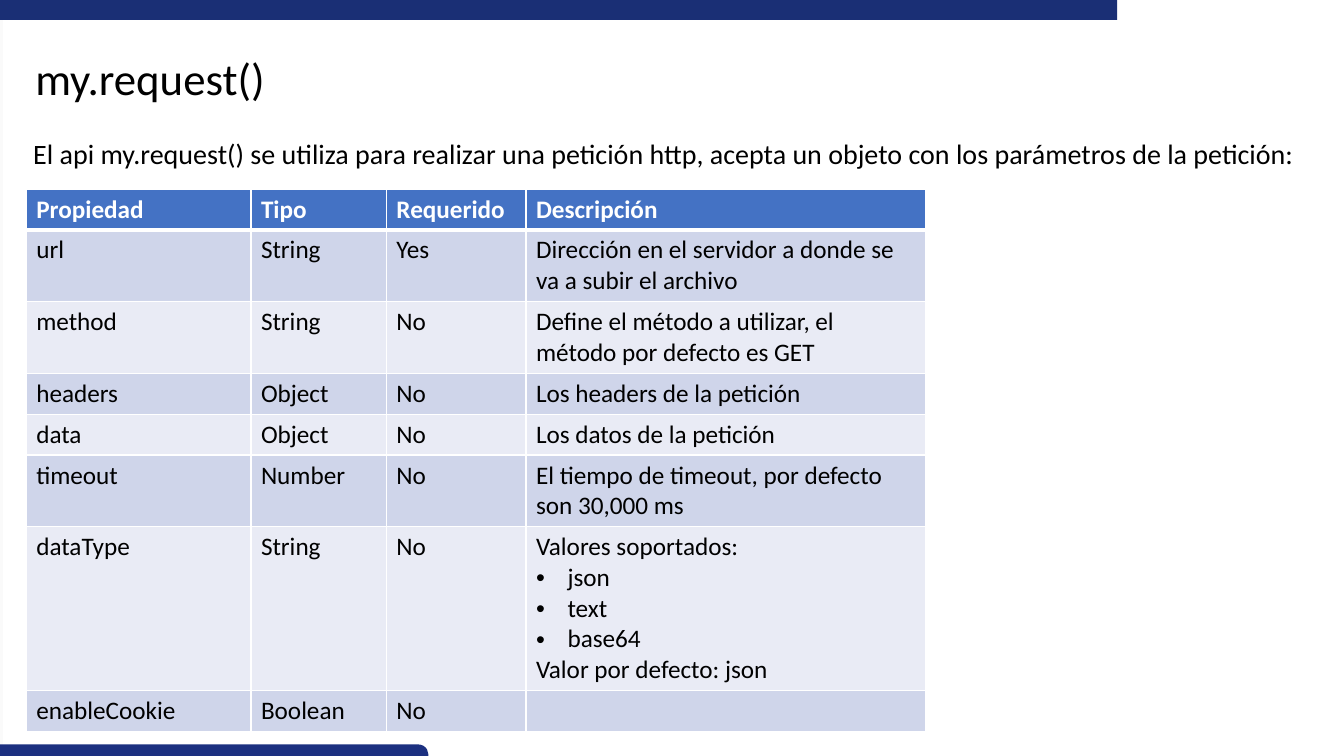
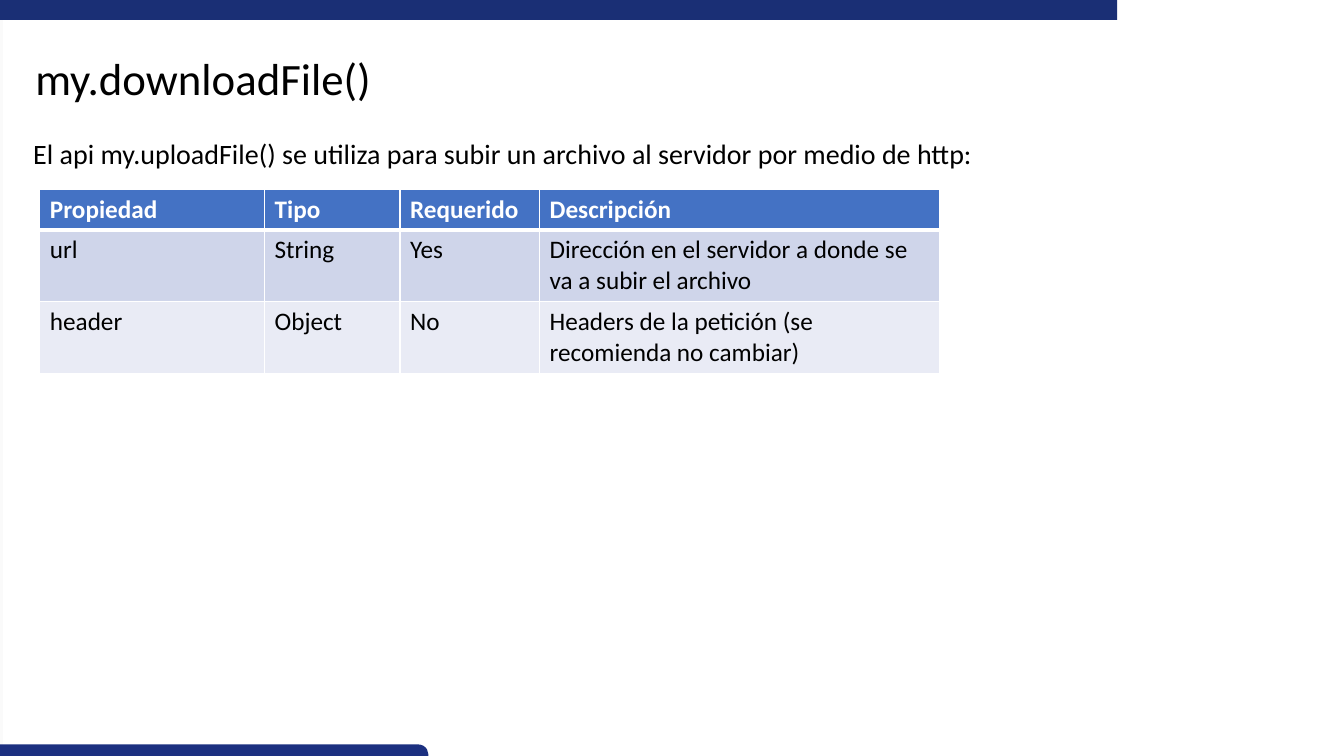
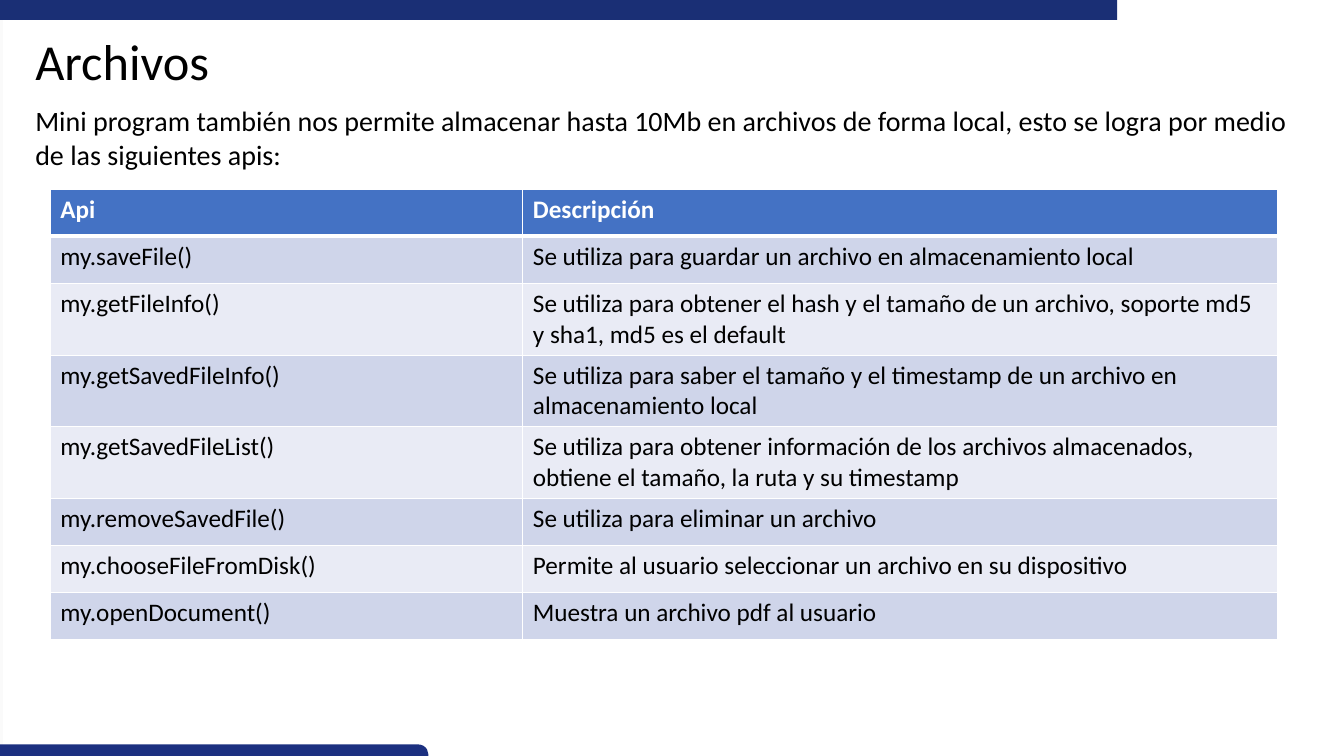
from lxml.etree import SubElement
from pptx import Presentation
from pptx.dml.color import RGBColor
from pptx.enum.shapes import MSO_SHAPE
from pptx.enum.text import MSO_ANCHOR, MSO_AUTO_SIZE, PP_ALIGN
from pptx.oxml.ns import qn
from pptx.util import Emu, Pt

FONT = "Calibri"
BACK = RGBColor(0xFA, 0xFA, 0xFA)
WHITE = RGBColor(0xFF, 0xFF, 0xFF)
BLACK = RGBColor(0, 0, 0)
NAVY = RGBColor(0x1A, 0x2F, 0x75)
INDIGO = RGBColor(0x1C, 0x30, 0x80)
BLUE = RGBColor(0x44, 0x72, 0xC4)
DARK = RGBColor(0xCF, 0xD5, 0xEA)
LIGHT = RGBColor(0xE9, 0xEB, 0xF5)

BULLET = "• "
HEADS = ("Propiedad", "Tipo", "Requerido", "Descripción")
WIDTHS = (214, 129, 133, 381)
URL = ("url", "String", "Yes", "Dirección en el servidor a donde se va a subir el archivo")

REQUEST = (
    HEADS,
    URL,
    ("method", "String", "No", "Define el método a utilizar, el método por defecto es GET"),
    ("headers", "Object", "No", "Los headers de la petición"),
    ("data", "Object", "No", "Los datos de la petición"),
    ("timeout", "Number", "No", "El tiempo de timeout, por defecto son 30,000 ms"),
    ("dataType", "String", "No",
     "Valores soportados:\n• json\n• text\n• base64\nValor por defecto: json"),
    ("enableCookie", "Boolean", "No", ""),
)
DOWNLOAD = (
    HEADS,
    URL,
    ("header", "Object", "No", "Headers de la petición (se recomienda no cambiar)"),
)
FILES = (
    ("Api", "Descripción"),
    ("my.saveFile()", "Se utiliza para guardar un archivo en almacenamiento local"),
    ("my.getFileInfo()",
     "Se utiliza para obtener el hash y el tamaño de un archivo, soporte md5 y sha1, md5 es el default"),
    ("my.getSavedFileInfo()",
     "Se utiliza para saber el tamaño y el timestamp de un archivo en almacenamiento local"),
    ("my.getSavedFileList()",
     "Se utiliza para obtener información de los archivos almacenados, obtiene el tamaño, la ruta y su timestamp"),
    ("my.removeSavedFile()", "Se utiliza para eliminar un archivo"),
    ("my.chooseFileFromDisk()", "Permite al usuario seleccionar un archivo en su dispositivo"),
    ("my.openDocument()", "Muestra un archivo pdf al usuario"),
)


def px(count):
    return Emu(count * 9525)


def mark(para, dot):
    props = para._p.get_or_add_pPr()
    props.set("marL", str(px(30) if dot else 0))
    props.set("indent", str(px(-30) if dot else 0))
    if dot:
        SubElement(props, qn("a:buFont"), typeface="Arial")
        SubElement(props, qn("a:buChar"), char=BULLET.strip())
    else:
        SubElement(props, qn("a:buNone"))


def write(frame, text, size=18, color=BLACK, bold=False):
    for index, line in enumerate(text.split("\n")):
        para = frame.add_paragraph() if index else frame.paragraphs[0]
        mark(para, line.startswith(BULLET))
        para.alignment = PP_ALIGN.LEFT
        para.space_before = Pt(0)
        run = para.add_run()
        run.text = line.removeprefix(BULLET)
        font = run.font
        font.name, font.size, font.bold = FONT, Pt(size), bold
        font.color.rgb = color


def fill(holder, text, box, **style):
    holder.left, holder.top, holder.width, holder.height = map(px, box)
    frame = holder.text_frame
    frame.word_wrap = True
    frame.auto_size = MSO_AUTO_SIZE.NONE
    frame.vertical_anchor = MSO_ANCHOR.TOP
    write(frame, text, **style)


def band(group, kind, box, color):
    shape = group.shapes.add_shape(kind, *map(px, box))
    shape.shadow.inherit = False
    shape.fill.solid()
    shape.fill.fore_color.rgb = color
    shape.line.fill.background()
    return shape


def frame(slide):
    back = slide.background.fill
    back.solid()
    back.fore_color.rgb = BACK
    group = slide.shapes.add_group_shape()
    band(group, MSO_SHAPE.RECTANGLE, (3, 0, 1277, 720), WHITE)
    band(group, MSO_SHAPE.RECTANGLE, (0, 0, 1064, 19), NAVY)
    foot = band(group, MSO_SHAPE.ROUND_1_RECTANGLE, (0, 709, 408, 19), INDIGO)
    foot.adjustments[0] = 0.5
    slide.shapes._spTree.insert(2, group._element)


def edge(cell, **sides):
    props = cell._tc.get_or_add_tcPr()
    for side in "LRTB":
        line = SubElement(props, qn("a:ln" + side), w=str(Pt(sides.get(side, 1))))
        paint = SubElement(line, qn("a:solidFill"))
        SubElement(paint, qn("a:srgbClr"), val=str(WHITE))


def grid(slide, rows, left, widths, high):
    table = slide.shapes.add_table(
        len(rows), len(widths), px(left), px(180), px(sum(widths)), px(high * len(rows))
    ).table
    for column, width in zip(table.columns, widths):
        column.width = px(width)
    for index, row in enumerate(rows):
        head = index == 0
        for spot, text in enumerate(row):
            cell = table.cell(index, spot)
            edge(cell, B=3 if head else 1, T=3 if index == 1 else 1)
            cell.fill.solid()
            cell.fill.fore_color.rgb = BLUE if head else DARK if index % 2 else LIGHT
            write(cell.text_frame, text, color=WHITE if head else BLACK, bold=head)


def page(deck, title, intro, rows, left, widths=WIDTHS, high=39,
         top=43, size=32, box=(22, 125, 1233, 42)):
    slide = deck.slides.add_slide(deck.slide_layouts[1])
    frame(slide)
    fill(slide.shapes.title, title, (24, top, 510, 65), size=size)
    fill(slide.placeholders[1], intro, box, size=20)
    grid(slide, rows, left, widths, high)


def main():
    deck = Presentation()
    deck.slide_width, deck.slide_height = px(1280), px(720)
    page(deck, "my.request()",
         "El api my.request() se utiliza para realizar una petición http, "
         "acepta un objeto con los parámetros de la petición:",
         REQUEST, 25)
    page(deck, "my.downloadFile()",
         "El api my.uploadFile() se utiliza para subir un archivo al servidor por medio de http:",
         DOWNLOAD, 38)
    page(deck, "Archivos",
         "Mini program también nos permite almacenar hasta 10Mb en archivos de forma local, "
         "esto se logra por medio de las siguientes apis:",
         FILES, 48, widths=(450, 719), high=45,
         top=24, size=36, box=(24, 94, 1232, 78))
    deck.save("out.pptx")


if __name__ == "__main__":
    main()
